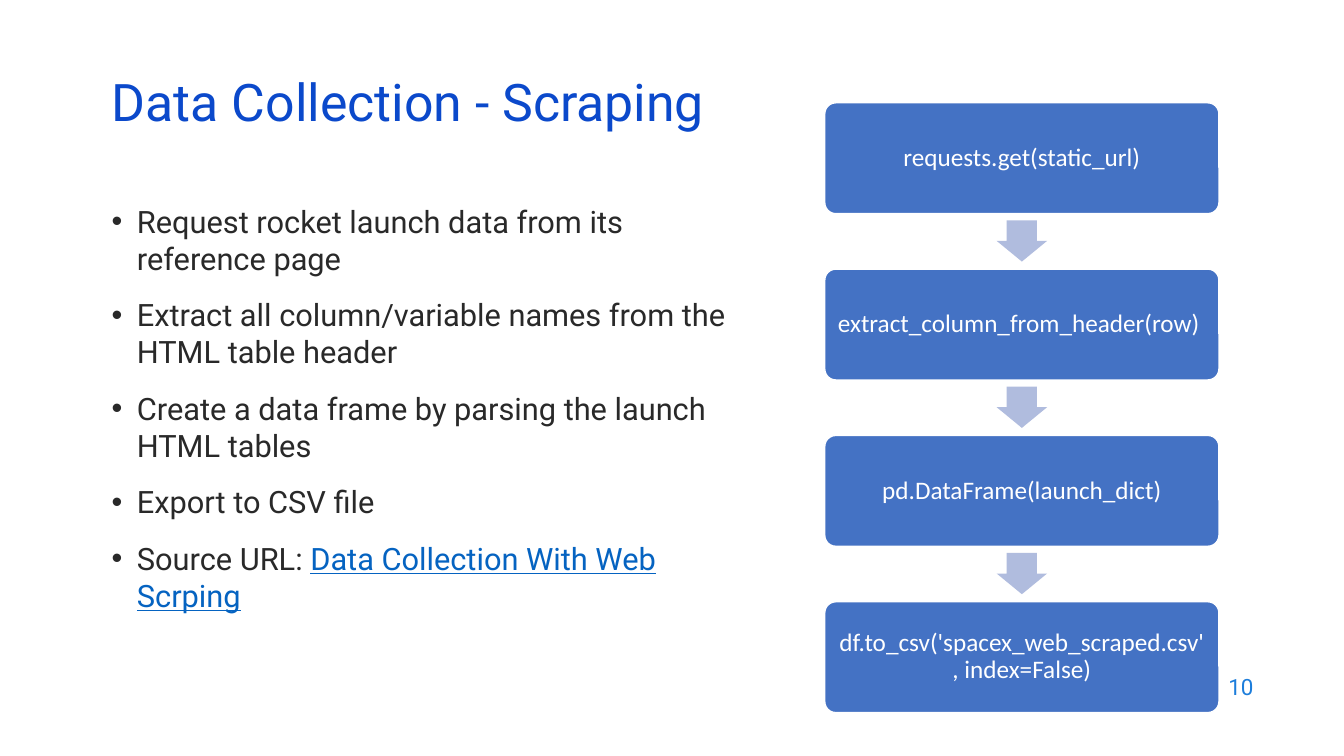
import pptx
import pptx.dml.color
import pptx.enum.shapes
import pptx.enum.text
import pptx.util
from lxml import etree
from pptx.oxml.ns import qn
from pptx.util import Inches

ALIGN = pptx.enum.text.PP_ALIGN
SHAPE = pptx.enum.shapes.MSO_SHAPE
MIDDLE = pptx.enum.text.MSO_ANCHOR.MIDDLE

BULLETS = [
    ["Request rocket launch data from its reference page"],
    ["Extract all column/variable names from the HTML table header"],
    ["Create a data frame by parsing the launch HTML tables"],
    ["Export to CSV file"],
    ["Source URL: ", "Data Collection With Web Scrping"],
]
STEPS = [
    ("requests.get(static_url)", ALIGN.CENTER),
    ("extract_column_from_header(row)", ALIGN.LEFT),
    ("pd.DataFrame(launch_dict)", ALIGN.CENTER),
    ("df.to_csv('spacex_web_scraped.csv', index=False)", ALIGN.CENTER),
]
STEP_LEFT, STEP_TOP, STEP_WIDTH, STEP_HEIGHT = 8.18, 1.02, 3.91, 1.1
STEP_PITCH = 1.65
ARROW_WIDTH, ARROW_HEIGHT, ARROW_OFFSET = 0.41, 0.5, 1.12


def color(value):
    return pptx.dml.color.RGBColor.from_string(value)


class SlideBuilder:
    body_font = "Roboto"
    code_font = "Calibri"
    title_color = "0B49CB"
    text_color = "292929"
    link_color = "0563C1"
    number_color = "1C7DDB"
    step_color = "4472C4"
    arrow_color = "B0BCDE"
    white = "FFFFFF"

    def __init__(self, deck):
        self.page = deck.slides.add_slide(deck.slide_layouts[5])

    def style(self, para, font, size, value, align=ALIGN.LEFT):
        para.alignment = align
        para.font.name = font
        para.font.size = pptx.util.Pt(size)
        para.font.color.rgb = color(value)

    def title(self, text, left, top, width, height):
        box = self.page.shapes.title
        box.left, box.top = Inches(left), Inches(top)
        box.width, box.height = Inches(width), Inches(height)
        frame = box.text_frame
        frame.text = text
        frame.auto_size = pptx.enum.text.MSO_AUTO_SIZE.NONE
        frame.vertical_anchor = MIDDLE
        para = frame.paragraphs[0]
        para.line_spacing = 0.8
        self.style(para, self.body_font, 37, self.title_color)

    def text_frame(self, left, top, width, height):
        box = self.page.shapes.add_textbox(
            Inches(left), Inches(top), Inches(width), Inches(height))
        box.text_frame.word_wrap = True
        return box.text_frame

    def bullets(self, items, left, top, width, height):
        """Each item is its plain text, optionally followed by link text."""
        frame = self.text_frame(left, top, width, height)
        for index, (text, *links) in enumerate(items):
            para = frame.add_paragraph() if index else frame.paragraphs[0]
            properties = para._p.get_or_add_pPr()
            properties.set("marL", str(Inches(0.25)))
            properties.set("indent", str(-Inches(0.25)))
            etree.SubElement(properties, qn("a:buFont")).set("typeface", "Arial")
            etree.SubElement(properties, qn("a:buChar")).set("char", "•")
            para.space_before = pptx.util.Pt(14 if index else 0)
            self.style(para, self.body_font, 22, self.text_color)
            para.add_run().text = text
            for link in links:
                span = para.add_run()
                span.text = link
                span.font.underline = True
                span.font.color.rgb = color(self.link_color)

    def page_number(self, text, left, top, width, height):
        frame = self.text_frame(left, top, width, height)
        frame.vertical_anchor = MIDDLE
        frame.text = text
        self.style(frame.paragraphs[0], self.body_font, 16,
                   self.number_color, ALIGN.RIGHT)

    def shape(self, kind, fill, left, top, width, height):
        box = self.page.shapes.add_shape(
            kind, Inches(left), Inches(top), Inches(width), Inches(height))
        box.shadow.inherit = False
        box.fill.solid()
        box.fill.fore_color.rgb = color(fill)
        return box

    def step(self, text, align, top):
        box = self.shape(SHAPE.ROUNDED_RECTANGLE, self.step_color,
                         STEP_LEFT, top, STEP_WIDTH, STEP_HEIGHT)
        box.adjustments[0] = 0.1
        box.line.color.rgb = color(self.white)
        box.line.width = pptx.util.Pt(1)
        frame = box.text_frame
        frame.word_wrap = True
        frame.vertical_anchor = MIDDLE
        frame.margin_left = frame.margin_right = Inches(0.1)
        frame.text = text
        para = frame.paragraphs[0]
        para.line_spacing = 0.9
        self.style(para, self.code_font, 18, self.white, align)

    def arrow(self, top):
        left = STEP_LEFT + (STEP_WIDTH - ARROW_WIDTH) / 2
        arrow = self.shape(SHAPE.RIGHT_ARROW, self.arrow_color,
                           left, top, ARROW_WIDTH, ARROW_HEIGHT)
        arrow.rotation = 90
        arrow.adjustments[0] = 0.6
        arrow.adjustments[1] = 0.5
        arrow.line.fill.background()


def main():
    deck = pptx.Presentation()
    deck.slide_width, deck.slide_height = Inches(13.33), Inches(7.5)
    builder = SlideBuilder(deck)
    builder.page_number("10", 9.53, 6.59, 3, 0.44)
    builder.bullets(BULLETS, 1.01, 1.96, 6.45, 4.17)
    builder.title("Data Collection - Scraping", 1.01, 0.76, 11.5, 0.6)
    for index, (text, align) in enumerate(STEPS):
        top = STEP_TOP + index * STEP_PITCH
        builder.step(text, align, top)
        if index < len(STEPS) - 1:
            builder.arrow(top + ARROW_OFFSET)
    deck.save("out.pptx")


if __name__ == "__main__":
    main()
